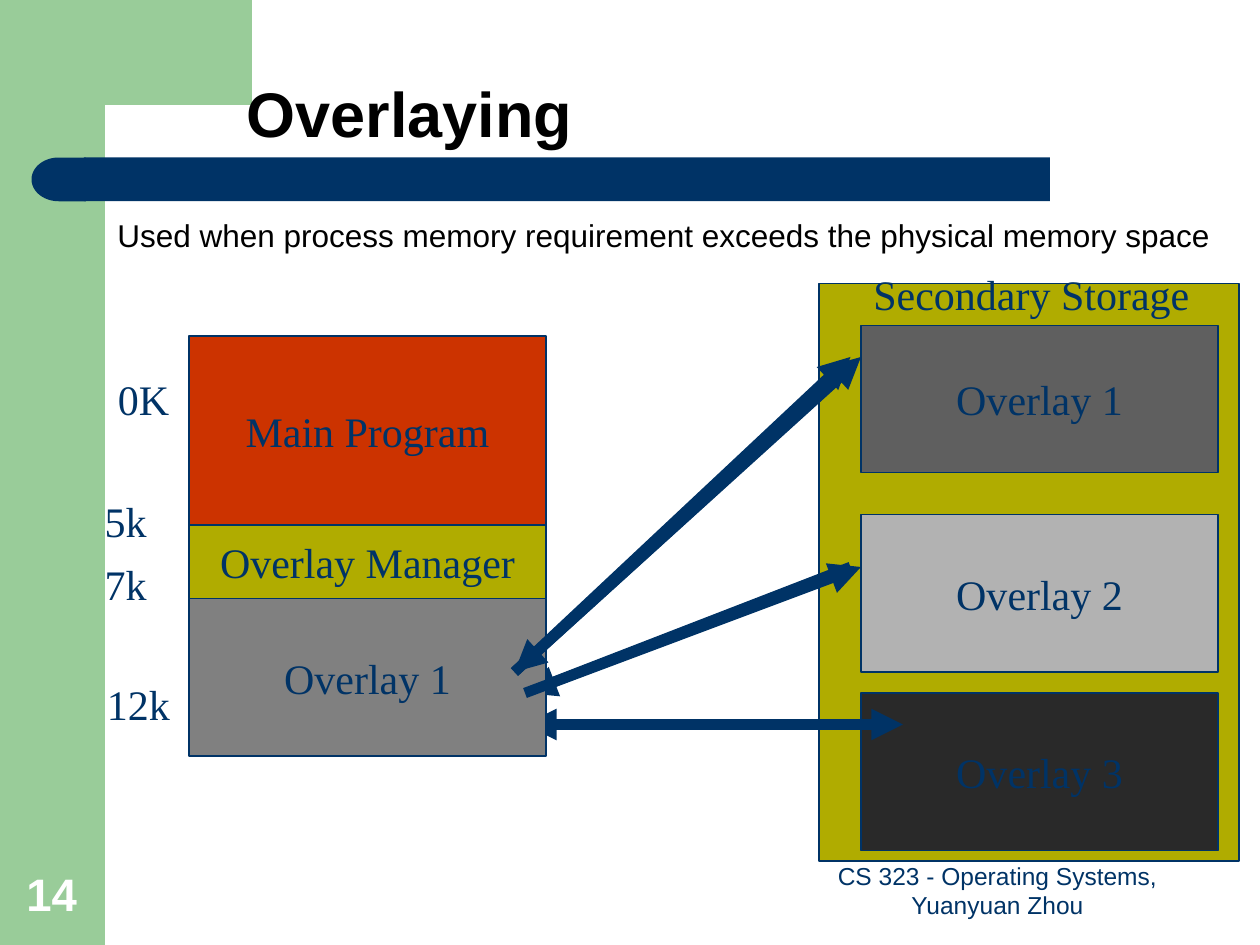
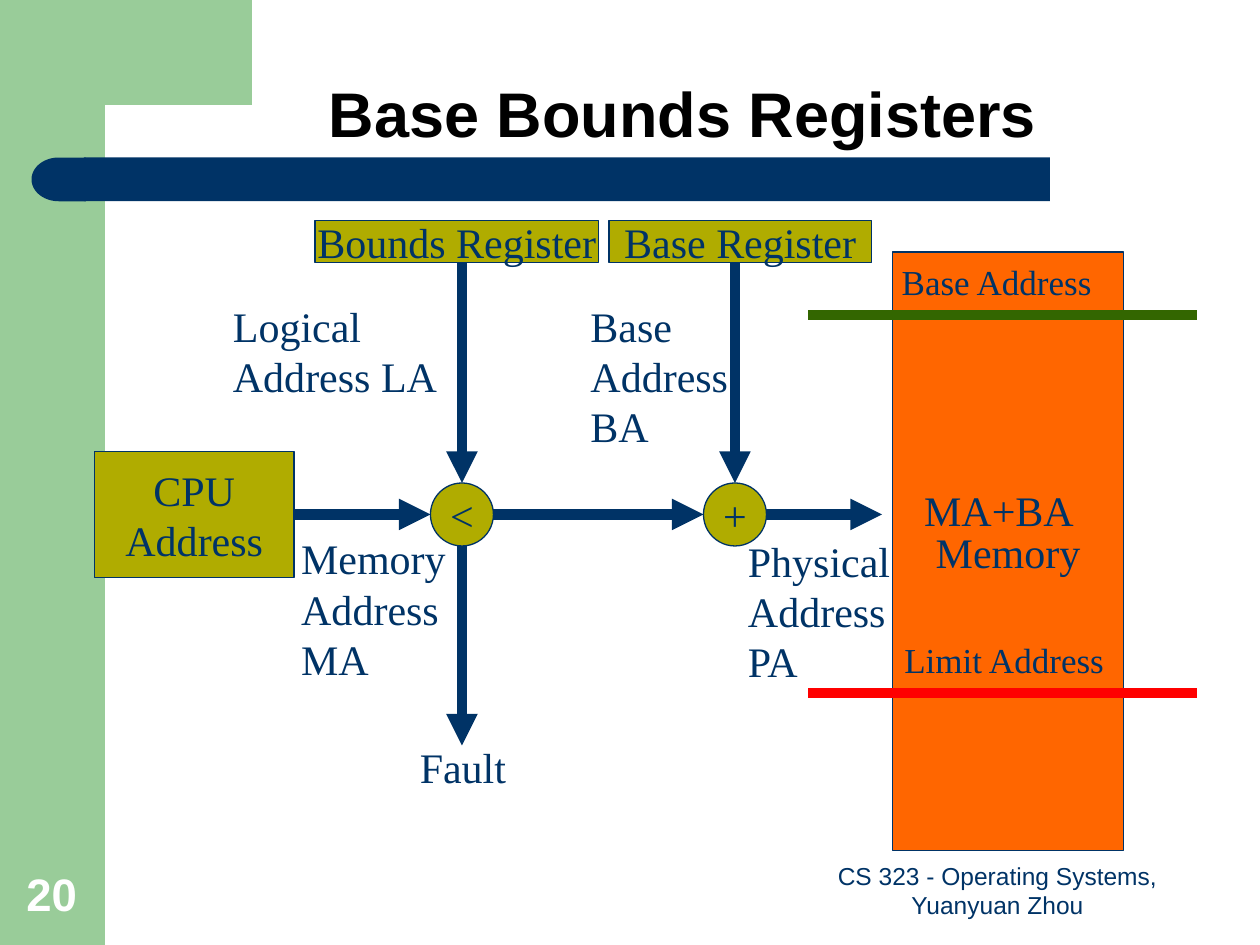
"""Builds two operating systems slides: overlaying and base bounds registers."""
from lxml import etree
from pptx import Presentation
from pptx.dml.color import RGBColor
from pptx.enum.shapes import MSO_CONNECTOR as Connector, MSO_SHAPE as Shape
from pptx.enum.text import MSO_ANCHOR as Anchor, MSO_AUTO_SIZE as AutoSize, PP_ALIGN as Align
from pptx.oxml.ns import qn
from pptx.util import Pt

GREEN, NAVY, OLIVE, ORANGE = "99CC99", "003366", "B0AC00", "FF6600"
BLACK, WHITE = "000000", "FFFFFF"
SANS, SERIF = "Arial", "Times New Roman"
FOOTER = "CS 323 - Operating Systems, Yuanyuan Zhou"
CORNER = [(144, 0), (144, 60), (60, 60), (55, 61), (51, 66), (49, 75),
          (48, 84), (48, 92), (36, 92), (36, 0)]

BLOCK_WIDTH = 204
MEMORY_LEFT, STORAGE_LEFT = 108, 492
MEMORY_TOP = 192
MAIN_HEIGHT, MANAGER_HEIGHT = 108, 42
MANAGER_TOP = MEMORY_TOP + MAIN_HEIGHT
OVERLAY_TOP = MANAGER_TOP + MANAGER_HEIGHT

FLOW_Y = 294
NODE = 36
COMPARE_X, ADD_X = 264, 420
REGISTER_TOP, REGISTER_HEIGHT = 126, 24
REGISTER_BOTTOM = REGISTER_TOP + REGISTER_HEIGHT
NODE_TOP, NODE_BOTTOM = FLOW_Y - NODE / 2, FLOW_Y + NODE / 2

SLIDES = [
    {"title": "Overlaying", "title_area": (24, 0, 420, 90), "number": "14", "layers": [
        ("box", [
            ("", (468, 162, 240, 330), OLIVE),
            ("Overlay Manager", (MEMORY_LEFT, MANAGER_TOP, BLOCK_WIDTH, MANAGER_HEIGHT), OLIVE),
            ("Main Program", (MEMORY_LEFT, MEMORY_TOP, BLOCK_WIDTH, MAIN_HEIGHT), "CC3300"),
            ("Overlay 1", (STORAGE_LEFT, 186, BLOCK_WIDTH, 84), "5F5F5F"),
            ("Overlay 2", (STORAGE_LEFT, 294, BLOCK_WIDTH, 90), "B2B2B2"),
            ("Overlay 3", (STORAGE_LEFT, 396, BLOCK_WIDTH, 90), "292929")]),
        ("arrow", [
            ((486, 324), (300, 396)),
            ((504, 414), (300, 414))]),
        ("box", [
            ("Overlay 1", (MEMORY_LEFT, OVERLAY_TOP, BLOCK_WIDTH, 90), "808080")]),
        ("arrow", [
            ((486, 210), (294, 384)),
            ((294, 384), (486, 204)),
            ((300, 396), (492, 324)),
            ((312, 414), (516, 414)),
            ((294, 384), (492, 204))]),
        ("label", [
            ("Secondary Storage", (492, 150, 195, 36)),
            ("0K", (60.3, 210, 44, 36)),
            ("5k", (52.7, 279.5, 40, 36)),
            ("7k", (52.7, 315.5, 40, 36)),
            ("12k", (54, 384, 52, 36)),
            ("Used when process memory requirement exceeds the physical memory space",
             (60, 120, 638.5, 29), 18, SANS, BLACK)])]},
    {"title": "Base Bounds Registers", "title_area": (78, 0, 624, 90), "number": "20", "layers": [
        ("box", [
            ("Memory", (510, 144, 132, 342), ORANGE),
            ("Bounds Register", (180, REGISTER_TOP, 162, REGISTER_HEIGHT), OLIVE),
            ("Base Register", (348, REGISTER_TOP, 150, REGISTER_HEIGHT), OLIVE),
            ("CPU\nAddress", (54, 258, 114, 72), OLIVE)]),
        ("node", [("<", COMPARE_X), ("+", ADD_X)]),
        ("arrow", [
            ((168, FLOW_Y), (COMPARE_X - NODE / 2, FLOW_Y)),
            ((COMPARE_X + NODE / 2, FLOW_Y), (ADD_X - NODE / 2, FLOW_Y)),
            ((ADD_X + NODE / 2, FLOW_Y), (504, FLOW_Y)),
            ((COMPARE_X, REGISTER_BOTTOM), (COMPARE_X, NODE_TOP)),
            ((ADD_X, REGISTER_BOTTOM), (ADD_X, NODE_TOP)),
            ((COMPARE_X, NODE_BOTTOM), (COMPARE_X, 426))]),
        ("line", [
            ((462, 396), (684, 396), "FF0000"),
            ((462, 180), (684, 180), "336600")]),
        ("label", [
            ("Memory\nAddress\nMA", (165, 301, 98.5, 93.6)),
            ("Logical\nAddress LA", (126, 168, 131, 65)),
            ("Physical\nAddress\nPA", (420.3, 302.3, 101.5, 93.6)),
            ("Fault", (232.8, 420, 63.5, 36)),
            ("Base Address", (508.2, 145.5, 124, 31.5), 20),
            ("Limit Address", (509.7, 361.5, 129.5, 31.5), 20),
            ("MA+BA", (521, 273.5, 100, 36)),
            ("Base\nAddress\nBA", (330.3, 168, 93, 93.6))])]},
]


def color(value):
    return RGBColor.from_string(value)


def points(values):
    return [Pt(value) for value in values]


def write(box, text, size=24, font=SERIF, ink=NAVY, bold=False, align=Align.LEFT, spacing=None):
    box.text_frame.text = text
    for para in box.text_frame.paragraphs:
        para.alignment = align
        para.line_spacing = spacing or Pt(1.2 * size)
        for span in para.runs:
            span.font.size, span.font.name, span.font.bold = Pt(size), font, bold
            span.font.color.rgb = color(ink)


def paint(shape, fill, outline=None):
    shape.shadow.inherit = False
    shape.fill.solid()
    shape.fill.fore_color.rgb = color(fill)
    if outline:
        shape.line.color.rgb = color(outline)
        shape.line.width = Pt(0.75)
    else:
        shape.line.fill.background()


def add_box(page, text, area, fill, kind=Shape.RECTANGLE):
    box = page.shapes.add_shape(kind, *points(area))
    paint(box, fill, NAVY)
    if text:
        box.text_frame.word_wrap = False
        box.text_frame.vertical_anchor = Anchor.MIDDLE
        write(box, text, align=Align.CENTER)


def add_node(page, text, center):
    add_box(page, text, (center - NODE / 2, NODE_TOP, NODE, NODE), OLIVE, Shape.OVAL)


def add_line(page, start, end, ink):
    line = page.shapes.add_connector(Connector.STRAIGHT, *points(start + end))
    line.line.color.rgb = color(ink)
    line.line.width = Pt(6)
    etree.SubElement(line.element.spPr, qn("a:effectLst"))
    return line


def add_arrow(page, start, end):
    outline = add_line(page, start, end, NAVY).element.spPr.find(qn("a:ln"))
    etree.SubElement(outline, qn("a:tailEnd"), type="triangle")


def add_label(page, text, area, size=24, font=SERIF, ink=NAVY):
    label = page.shapes.add_textbox(*points(area))
    label.text_frame.word_wrap = False
    label.text_frame.auto_size = AutoSize.SHAPE_TO_FIT_TEXT
    write(label, text, size, font, ink)


def add_caption(page, text, area, size, ink, bold=False, align=Align.CENTER, spacing=1.0):
    caption = page.shapes.add_textbox(*points(area))
    caption.text_frame.word_wrap = True
    caption.text_frame.vertical_anchor = Anchor.BOTTOM
    write(caption, text, size, SANS, ink, bold, align, spacing)


def add_frame(page):
    paint(page.shapes.add_shape(Shape.RECTANGLE, *points((0, 0, 60, 540))), GREEN)
    outline = page.shapes.build_freeform(*CORNER[0], scale=Pt(1))
    outline.add_line_segments(CORNER[1:], close=True)
    paint(outline.convert_to_shape(), GREEN)
    paint(page.shapes.add_shape(Shape.RECTANGLE, *points((48, 90, 552, 25))), NAVY)
    cap = page.shapes.add_shape(Shape.FLOWCHART_DELAY, *points((18, 90, 31, 25)))
    cap.rotation = 180
    paint(cap, NAVY)


DRAW = {"box": add_box, "node": add_node, "arrow": add_arrow, "line": add_line, "label": add_label}


def main():
    deck = Presentation()
    deck.slide_width, deck.slide_height = Pt(720), Pt(540)
    for content in SLIDES:
        page = deck.slides.add_slide(deck.slide_layouts[6])
        add_frame(page)
        add_caption(page, content["title"], content["title_area"], 36, BLACK, True, spacing=0.9)
        for kind, rows in content["layers"]:
            for row in rows:
                DRAW[kind](page, *row)
        add_caption(page, FOOTER, (456, 491.5, 228, 37.5), 14, NAVY)
        add_caption(page, content["number"], (8, 491.5, 46, 38), 26, WHITE, True, Align.LEFT)
    deck.save("out.pptx")


if __name__ == "__main__":
    main()
